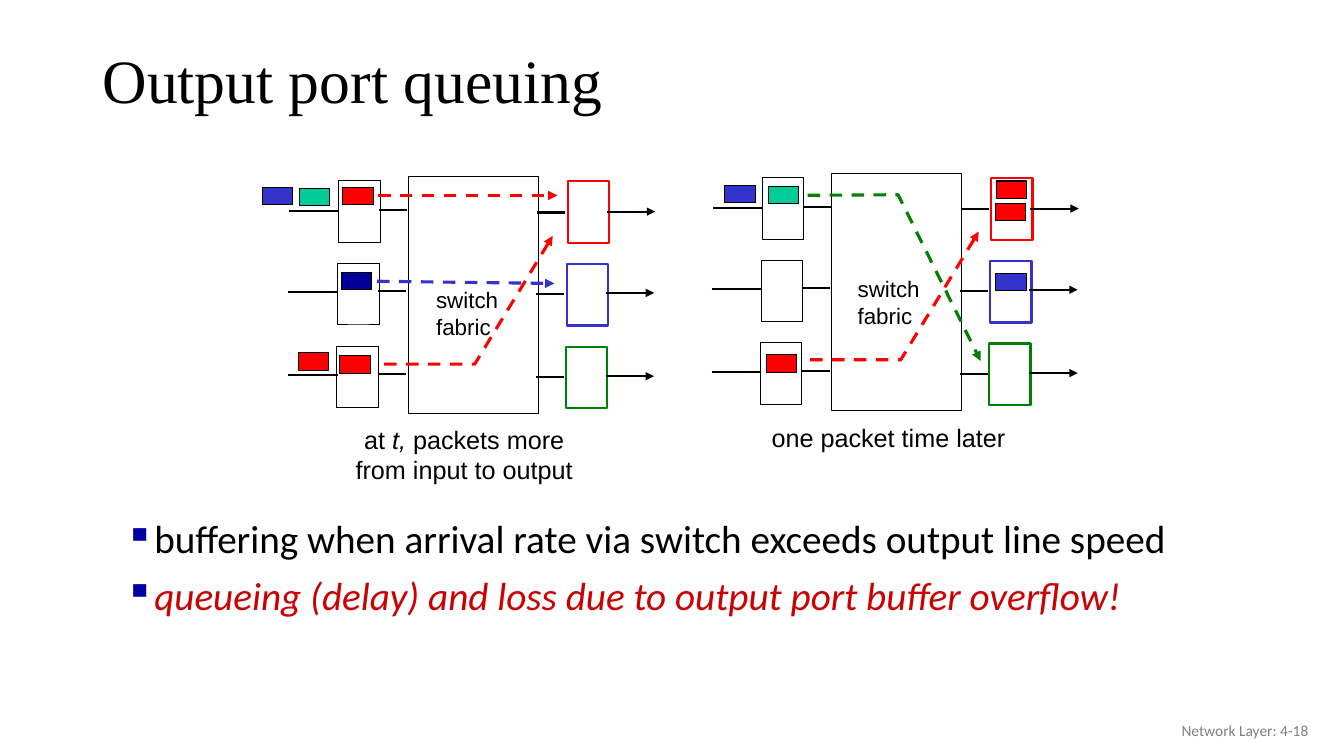
from lxml.etree import SubElement
from pptx import Presentation
from pptx.dml.color import RGBColor
from pptx.enum.dml import MSO_LINE
from pptx.enum.shapes import MSO_CONNECTOR, MSO_SHAPE
from pptx.enum.text import MSO_ANCHOR, PP_ALIGN
from pptx.oxml.ns import qn
from pptx.util import Pt

BLACK, WHITE, GRAY = "000000", "FFFFFF", "808080"
RED, BLUE, NAVY = "FF0000", "3333CC", "000099"
GREEN, TEAL = "008000", "00CC99"
BULLET_BLUE, WARNING_RED = "0000A3", "CC0000"


def color(value):
    return RGBColor.from_string(value)


class SlidePainter:
    def __init__(self, slide):
        self.slide = slide
        self.diagram_font = "Arial"
        self.body_font = "Calibri"
        self.thin, self.medium, self.thick = 0.75, 1.5, 2.25

    def outline(self, shape, line_color, width, dashed=False, arrow=False):
        shape.line.color.rgb = color(line_color)
        shape.line.width = Pt(width)
        if dashed:
            shape.line.dash_style = MSO_LINE.DASH
        if arrow:
            line = shape._element.spPr.find(qn("a:ln"))
            SubElement(line, qn("a:tailEnd"), type="triangle")

    def rectangle(self, left, top, width, height, fill=WHITE, line_color=BLACK, line_width=0.75):
        shape = self.slide.shapes.add_shape(
            MSO_SHAPE.RECTANGLE, Pt(left), Pt(top), Pt(width), Pt(height))
        shape.shadow.inherit = False
        shape.fill.solid()
        shape.fill.fore_color.rgb = color(fill)
        self.outline(shape, line_color, line_width)

    def packet(self, left, top, fill):
        self.rectangle(left, top, 21.8, 12.4, fill)

    def line(self, start, end, line_color=BLACK, dashed=False, arrow=False):
        connector = self.slide.shapes.add_connector(
            MSO_CONNECTOR.STRAIGHT, *(Pt(value) for value in (*start, *end)))
        width = self.thick if dashed else self.medium
        self.outline(connector, line_color, width, dashed, arrow)
        SubElement(connector._element.spPr, qn("a:effectLst"))

    def route(self, points, line_color):
        start, *rest = [(Pt(x), Pt(y)) for x, y in points]
        builder = self.slide.shapes.build_freeform(*start)
        builder.add_line_segments(rest, close=False)
        shape = builder.convert_to_shape()
        shape.shadow.inherit = False
        shape.fill.background()
        self.outline(shape, line_color, self.thick, dashed=True, arrow=True)

    def text(self, left, top, width, height, lines, size, font, text_color=BLACK,
             align=PP_ALIGN.LEFT, anchor=MSO_ANCHOR.TOP, wrap=True):
        box = self.slide.shapes.add_textbox(Pt(left), Pt(top), Pt(width), Pt(height))
        frame = box.text_frame
        frame.word_wrap = wrap
        frame.vertical_anchor = anchor
        for index, content in enumerate(lines):
            paragraph = frame.paragraphs[0] if index == 0 else frame.add_paragraph()
            paragraph.alignment = align
            for piece, italic in content:
                run = paragraph.add_run()
                run.text = piece
                if italic:
                    run.font.italic = True
            paragraph.font.size = Pt(size)
            paragraph.font.name = font
            paragraph.font.color.rgb = color(text_color)
        return frame

    def bullets(self, left, top, width, height, items):
        frame = self.text(left, top, width, height,
                          [[(content, False)] for content, _, _ in items], 28, self.body_font)
        for index, (paragraph, item) in enumerate(zip(frame.paragraphs, items)):
            paragraph.line_spacing = 0.9
            if index:
                paragraph.space_before = Pt(10)
            properties = paragraph._element.get_or_add_pPr()
            properties.set("marL", str(Pt(28)))
            properties.set("indent", str(Pt(-17)))
            defaults = properties.find(qn("a:defRPr"))
            bullet_color = SubElement(properties, qn("a:buClr"))
            SubElement(bullet_color, qn("a:srgbClr"), val=BULLET_BLUE)
            bullet = SubElement(properties, qn("a:buChar"), char="▪")
            defaults.addprevious(bullet_color)
            defaults.addprevious(bullet)
            paragraph.font.color.rgb = color(item[1])
            paragraph.font.italic = item[2]

    def router(self, left, top):
        self.rectangle(left, top, 92.9, 169.2)
        line_offsets = (0, 58, 117.5)
        for row, output_color in enumerate((RED, BLUE, GREEN)):
            port_top = top + 3.2 + 59 * row
            shift = -0.7 * row
            self.rectangle(left - 49.5 + shift, port_top, 29.5, 44)
            self.rectangle(left + 113.8 + shift, port_top + 0.4, 29.5, 44,
                           line_color=output_color, line_width=self.medium)
            line_shift = -0.8 if row else 0
            for start, end, height, arrow in (
                    (-85, -49.7, 24.5, False), (-20.7, -0.6, 23.8, False),
                    (92.2, 112.3, 25.8, False), (141.8, 176.4, 25.2, True)):
                y = top + height + line_offsets[row]
                self.line((left + start + line_shift, y), (left + end + line_shift, y), arrow=arrow)

    def fabric_label(self, left, top):
        self.text(left, top, 59, 46, [[("switch", False)], [("fabric", False)]],
                  16, self.diagram_font, wrap=False)

    def caption(self, left, top, height, lines):
        self.text(left, top, 193.7, height, lines, 18, self.diagram_font, align=PP_ALIGN.CENTER)


def main():
    presentation = Presentation()
    presentation.slide_width = Pt(960)
    presentation.slide_height = Pt(540)
    painter = SlidePainter(presentation.slides.add_slide(presentation.slide_layouts[6]))

    title = painter.text(66.2, 24.5, 828, 70.5, [[("Output port queuing", False)]],
                         44, "Times New Roman", anchor=MSO_ANCHOR.MIDDLE)
    title.paragraphs[0].line_spacing = 0.9

    painter.router(291.6, 126)
    painter.router(594.2, 123.8)

    for left, top, fill in (
            (187.2, 133.9, BLUE), (213.8, 134.6, TEAL), (244.8, 133.9, RED),
            (243.6, 194.4, NAVY), (213.1, 252, RED), (242.6, 254.2, RED),
            (517.7, 132.5, BLUE), (548.8, 133.2, TEAL), (547.4, 253.4, RED),
            (711.5, 129.3, RED), (711, 145.4, RED), (711.4, 195.1, BLUE)):
        painter.packet(left, top, fill)

    painter.line((270, 139.6), (398.2, 139.6), RED, dashed=True, arrow=True)
    painter.line((269.3, 200.9), (396, 202.5), BLUE, dashed=True, arrow=True)
    painter.route([(274.3, 260.1), (339.1, 260.1), (394.8, 168.5)], RED)
    painter.route([(578.6, 257), (643.4, 257), (699.1, 165.4)], RED)
    painter.route([(576.9, 139.5), (641.5, 139.1), (700.4, 257.8)], GREEN)

    painter.fabric_label(304.4, 200.9)
    painter.fabric_label(605.5, 193)
    painter.caption(234.7, 299.5, 50.4, [
        [("at ", False), ("t,", True), (" packets more", False)],
        [("from input to output", False)]])
    painter.caption(537.8, 298.1, 28.8, [[("one packet time later", False)]])

    painter.bullets(71.3, 367.9, 792, 138.2, [
        ("buffering when arrival rate via switch exceeds output line speed", BLACK, False),
        ("queueing (delay) and loss due to output port buffer overflow!", WARNING_RED, True)])
    painter.text(725.8, 507.6, 216, 28.8, [[("Network Layer: 4-18", False)]], 11,
                 painter.body_font, GRAY, PP_ALIGN.RIGHT, MSO_ANCHOR.MIDDLE)

    presentation.save("out.pptx")


if __name__ == "__main__":
    main()
